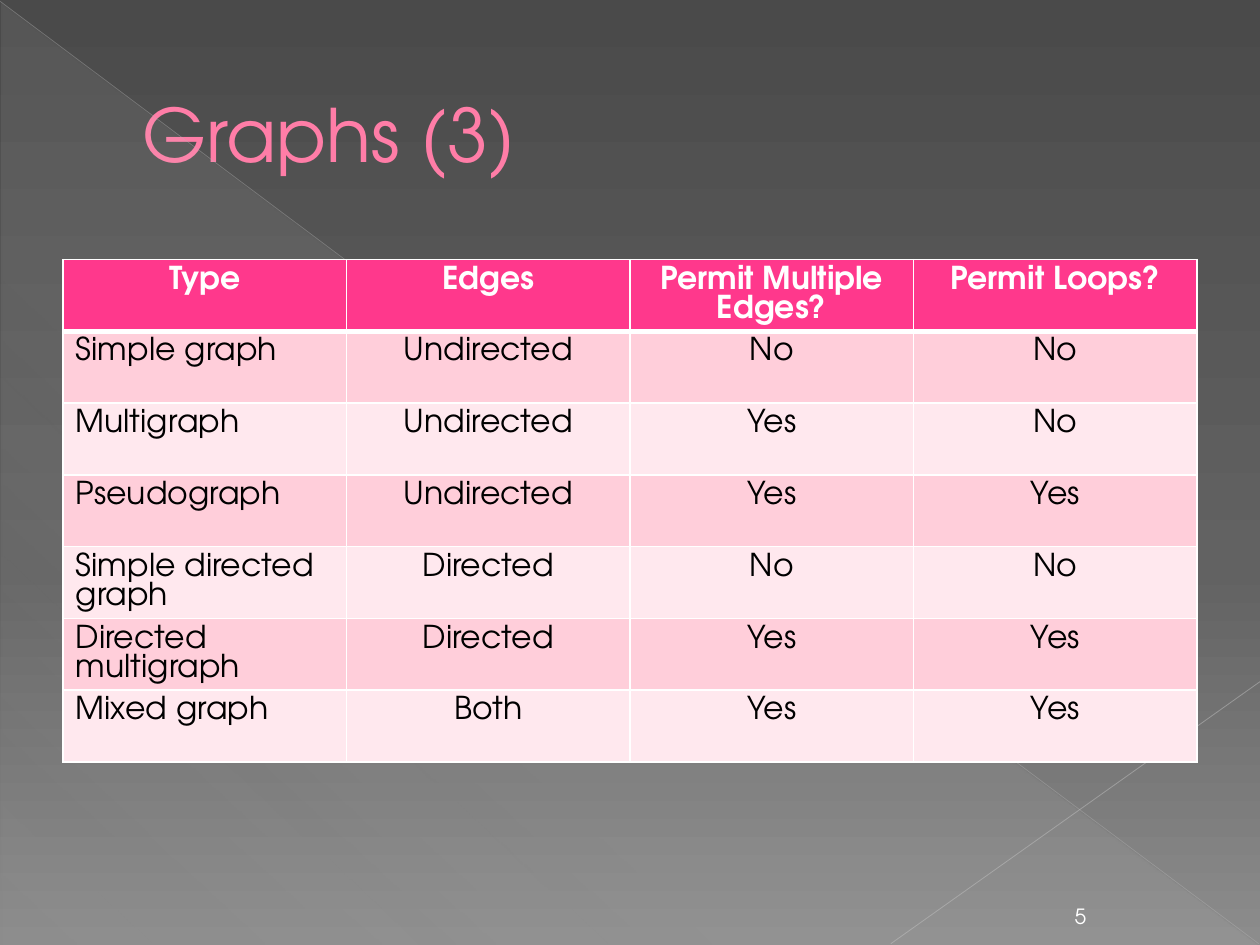
from lxml import etree
from pptx import Presentation
from pptx.dml.color import RGBColor
from pptx.enum.shapes import MSO_CONNECTOR, MSO_SHAPE
from pptx.enum.text import MSO_ANCHOR, PP_ALIGN
from pptx.oxml.ns import qn
from pptx.util import Inches, Pt

LEFT, CENTER = PP_ALIGN.LEFT, PP_ALIGN.CENTER
MIDDLE, BOTTOM = MSO_ANCHOR.MIDDLE, MSO_ANCHOR.BOTTOM
STRAIGHT, RIGHT_TRIANGLE = MSO_CONNECTOR.STRAIGHT, MSO_SHAPE.RIGHT_TRIANGLE

WHITE = RGBColor(0xFF, 0xFF, 0xFF)
BLACK = RGBColor(0x00, 0x00, 0x00)
TITLE_PINK = RGBColor(0xFF, 0x7D, 0xA7)
TITLE_OUTLINE = RGBColor(0xB1, 0x27, 0x61)
HEADER_PINK = RGBColor(0xFF, 0x38, 0x8C)
BAND_DARK = RGBColor(0xFF, 0xCE, 0xDA)
BAND_LIGHT = RGBColor(0xFF, 0xE8, 0xEE)
BACK_TOP = RGBColor(0x4A, 0x4A, 0x4A)
BACK_MIDDLE = RGBColor(0x62, 0x62, 0x62)
BACK_BOTTOM = RGBColor(0x8C, 0x8C, 0x8C)
VEIL = RGBColor(0xD2, 0xD2, 0xD2)
DIAGONAL = RGBColor(0xBF, 0xBF, 0xBF)
CORNER_LINE = RGBColor(0xC6, 0xC6, 0xC6)

ROWS = [
    ("Type", "Edges", "Permit Multiple Edges?", "Permit Loops?"),
    ("Simple graph", "Undirected", "No", "No"),
    ("Multigraph", "Undirected", "Yes", "No"),
    ("Pseudograph", "Undirected", "Yes", "Yes"),
    ("Simple directed graph", "Directed", "No", "No"),
    ("Directed multigraph", "Directed", "Yes", "Yes"),
    ("Mixed graph", "Both", "Yes", "Yes"),
]


def add_element(parent, tag, **attributes):
    element = etree.SubElement(parent, qn(tag))
    for name, value in attributes.items():
        element.set(name, str(value))
    return element


def add_color(parent, color, opacity=100):
    element = add_element(parent, "a:srgbClr", val=color)
    if opacity < 100:
        add_element(element, "a:alpha", val=opacity * 1000)


def add_line(parent, tag, color, width):
    line = add_element(parent, tag, w=int(Pt(width)))
    add_color(add_element(line, "a:solidFill"), color)
    return line


class SlideBuilder:
    font_name = "TeX Gyre Adventor"

    def __init__(self, presentation):
        self.slide = presentation.slides.add_slide(presentation.slide_layouts[5])

    def gradient(self, fill, stops, angle):
        """Give a fill (position, colour, opacity) stops, clockwise angle."""
        fill.gradient()
        fill.gradient_angle = 360 - angle
        stop_list = fill.gradient_stops._gsLst
        for stop in list(stop_list):
            stop_list.remove(stop)
        for position, color, opacity in stops:
            add_color(add_element(stop_list, "a:gs", pos=position * 1000), color, opacity)

    def add_text(self, text_frame, text, alignment, **font_format):
        paragraph = text_frame.paragraphs[0]
        paragraph.alignment = alignment
        run = paragraph.add_run()
        run.text = text
        run.font.color.rgb = font_format.pop("color")
        for name, value in {"name": self.font_name, **font_format}.items():
            setattr(run.font, name, value)
        return run

    def place(self, shape, left, top, width, height):
        box = {"left": left, "top": top, "width": width, "height": height}
        for name, value in box.items():
            setattr(shape, name, Inches(value))

    def background(self, stops, angle):
        self.gradient(self.slide.background.fill, stops, angle)

    def triangle(self, left, top, width, height, stops, angle):
        shape = self.slide.shapes.add_shape(RIGHT_TRIANGLE, 0, 0, 0, 0)
        self.place(shape, left, top, width, height)
        shape.shadow.inherit = False
        shape.line.fill.background()
        self.gradient(shape.fill, stops, angle)

    def line(self, start, end, color, width, opacity):
        points = [Inches(value) for value in (*start, *end)]
        connector = self.slide.shapes.add_connector(STRAIGHT, *points)
        connector.line.width = Pt(width)
        connector.line.color.rgb = color
        properties = connector._element.spPr
        color_element = properties.find(".//" + qn("a:srgbClr"))
        add_element(color_element, "a:alpha", val=opacity * 1000)
        add_element(properties, "a:effectLst")

    def title(self, text, left, top, width, height):
        title = self.slide.shapes.title
        self.place(title, left, top, width, height)
        title.text_frame.vertical_anchor = MIDDLE
        run = self.add_text(title.text_frame, text, LEFT, size=Pt(42), color=TITLE_PINK)
        paragraph_properties = title.text_frame.paragraphs[0]._p.get_or_add_pPr()
        paragraph_properties.set("marL", str(Inches(0.53)))
        run_properties = run._r.get_or_add_rPr()
        outline = add_line(run_properties, "a:ln", TITLE_OUTLINE, 0.5)
        run_properties.insert(0, outline)

    def text(self, text, left, top, width, height):
        box = self.slide.shapes.add_textbox(0, 0, 0, 0)
        self.place(box, left, top, width, height)
        box.text_frame.word_wrap = True
        box.text_frame.vertical_anchor = BOTTOM
        self.add_text(box.text_frame, text, CENTER, size=Pt(12), color=WHITE)

    def cell(self, cell, text, alignment, fill, color, bold, borders):
        self.add_text(cell.text_frame, text, alignment, size=Pt(18), color=color, bold=bold)
        properties = cell._tc.get_or_add_tcPr()
        for side, width in borders.items():
            add_line(properties, "a:ln" + side, WHITE, width)
        cell.fill.solid()
        cell.fill.fore_color.rgb = fill

    def table(self, rows, left, top, width, row_height):
        box = [Inches(v) for v in (left, top, width, row_height * len(rows))]
        table = self.slide.shapes.add_table(len(rows), len(rows[0]), *box).table
        for row_index, row in enumerate(rows):
            header = row_index == 0
            band = BAND_DARK if row_index % 2 else BAND_LIGHT
            borders = {
                "L": 1,
                "R": 1,
                "T": 3 if row_index == 1 else 1,
                "B": 3 if header else 1,
            }
            for column_index, text in enumerate(row):
                self.cell(
                    table.cell(row_index, column_index),
                    text,
                    CENTER if header or column_index else LEFT,
                    HEADER_PINK if header else band,
                    WHITE if header else BLACK,
                    header,
                    borders,
                )


def main():
    presentation = Presentation()
    presentation.slide_width = Inches(10)
    presentation.slide_height = Inches(7.5)
    builder = SlideBuilder(presentation)

    # Backdrop
    builder.background(
        [(0, BACK_TOP, 100), (60, BACK_MIDDLE, 100), (100, BACK_BOTTOM, 100)], 90
    )
    builder.triangle(
        0.01, 0.02, 9.98, 7.48, [(0, VEIL, 10), (70, VEIL, 8), (100, VEIL, 1)], 133
    )
    builder.line((0, 0.01), (9.99, 7.49), DIAGONAL, 0.39, 35)
    builder.line((10, 5.41), (7.07, 7.49), CORNER_LINE, 0.47, 45)

    # Title, table of graph types and page number
    builder.title("Graphs (3)", 0.5, 0.29, 9, 1.53)
    builder.table(ROWS, 0.5, 2.06, 9, 0.57)
    builder.text("5", 8.3, 7.09, 0.55, 0.33)

    presentation.save("out.pptx")


if __name__ == "__main__":
    main()
